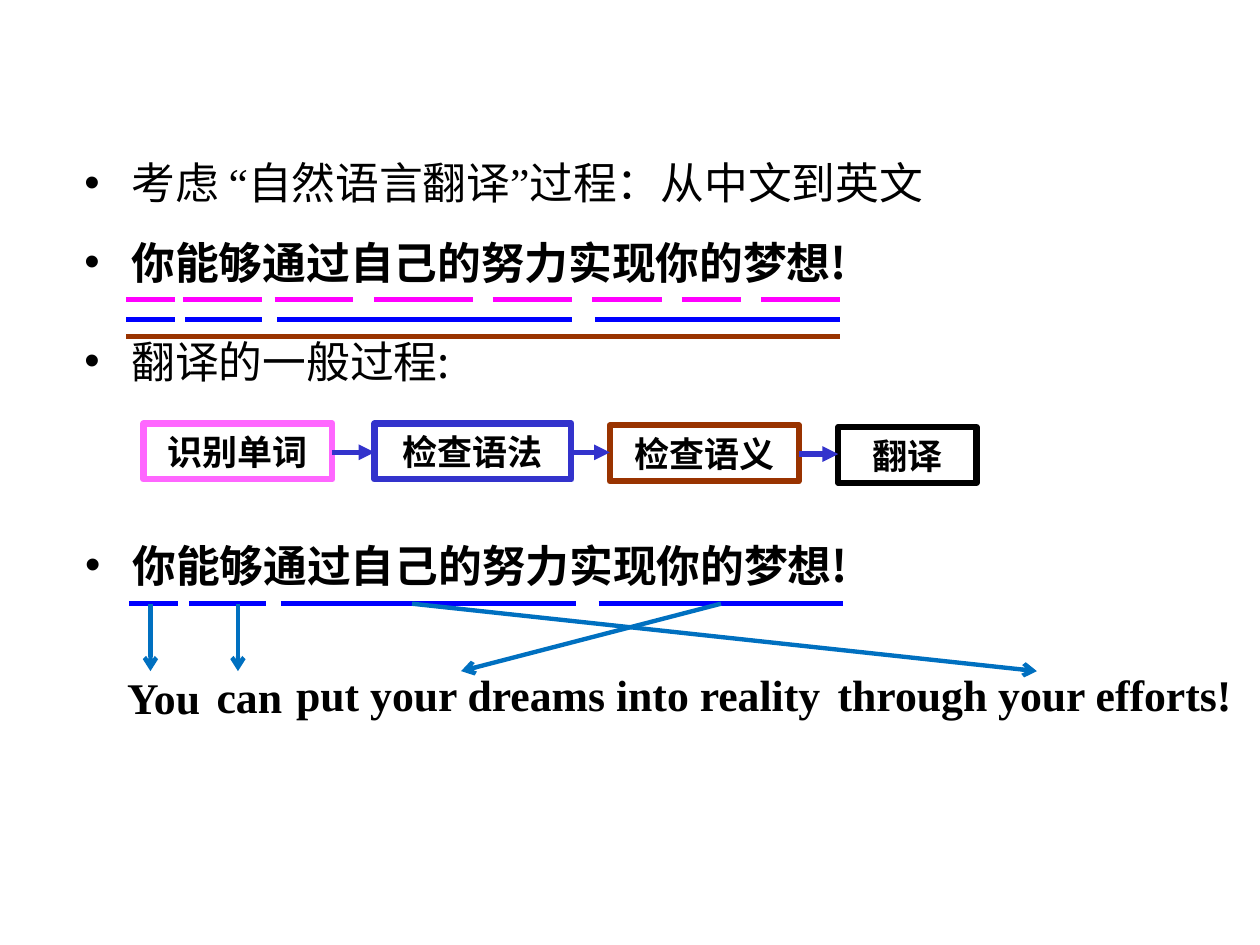
from dataclasses import dataclass

from lxml import etree
from pptx import Presentation
from pptx.dml.color import RGBColor
from pptx.enum import shapes, text
from pptx.oxml import ns
from pptx.util import Pt


@dataclass(frozen=True)
class Theme:
    black: str = "000000"
    word: str = "FF00FF"
    word_box: str = "FF66FF"
    phrase: str = "0000FF"
    syntax: str = "3333CC"
    meaning: str = "993300"
    mapping: str = "0070C0"
    latin: str = "Times New Roman"
    regular: str = "Noto Sans CJK KR"
    bold: str = "Noto Sans CJK SC"
    body_size: float = 25
    step_size: float = 20
    outline: float = 3.5
    stroke: float = 3
    thin_stroke: float = 2.5


THEME = Theme()
SENTENCE = "你能够通过自己的努力实现你的梦想!"
WORDS = [(72, 100), (104.5, 150), (157, 202), (214, 270),
         (281.5, 327), (338.5, 378), (389.5, 423.5), (435, 480)]
PHRASES = [(72, 100), (106, 150), (158.5, 327), (340, 480)]
CLAUSE = [(72, 480)]


def add_child(parent, tag, **attributes):
    return etree.SubElement(parent, ns.qn(tag), attributes)


def add_span(para, words, size, latin, asian, bold=False):
    span = para.add_run()
    span.text = words
    font = span.font
    font.size, font.bold, font.name = Pt(size), bold, latin
    font.color.rgb = RGBColor.from_string(THEME.black)
    add_child(font._element, "a:ea", typeface=asian)


def set_frame(box, anchor, wrap=True):
    frame = box.text_frame
    frame.auto_size = text.MSO_AUTO_SIZE.NONE
    frame.word_wrap = wrap
    frame.vertical_anchor = anchor
    return frame


def fill_list(box, place, items):
    """Place a body placeholder; items are (space before, bold, [(font, words)])."""
    box.left, box.top, box.width, box.height = map(Pt, place)
    frame = set_frame(box, text.MSO_ANCHOR.TOP)
    for index, (gap, bold, spans) in enumerate(items):
        para = frame.add_paragraph() if index else frame.paragraphs[0]
        props = para._p.get_or_add_pPr()
        props.set("marL", str(Pt(27)))
        props.set("indent", str(-Pt(27)))
        color = add_child(props, "a:buClr")
        add_child(color, "a:srgbClr", val=THEME.black)
        add_child(props, "a:buChar", char="•")
        para.space_before = Pt(gap)
        para.alignment = text.PP_ALIGN.LEFT
        for font, words in spans:
            add_span(para, words, THEME.body_size, font, font, bold)


def add_line(page, start, end, color, width, head=None):
    line = page.shapes.add_connector(
        shapes.MSO_CONNECTOR.STRAIGHT, *map(Pt, (*start, *end)))
    line.line.width = Pt(width)
    line.line.color.rgb = RGBColor.from_string(color)
    if head:
        add_child(line.line._get_or_add_ln(), "a:tailEnd", type=head)
    add_child(line._element.spPr, "a:effectLst")


def add_underlines(page, spans, y, color, shift=0):
    for left, right in spans:
        add_line(page, (left + shift, y), (right + shift, y), color, THEME.stroke)


def add_step(page, left, top, width, words, color):
    box = page.shapes.add_shape(
        shapes.MSO_SHAPE.RECTANGLE, *map(Pt, (left, top, width, 32)))
    box.shadow.inherit = False
    box.fill.background()
    box.line.color.rgb = RGBColor.from_string(color)
    box.line.width = Pt(THEME.outline)
    para = set_frame(box, text.MSO_ANCHOR.MIDDLE).paragraphs[0]
    para.alignment = text.PP_ALIGN.CENTER
    add_span(para, words, THEME.step_size, THEME.latin, THEME.bold, True)


def add_translation(page, left, top, width, words):
    box = page.shapes.add_textbox(*map(Pt, (left, top, width, 37.5)))
    para = set_frame(box, text.MSO_ANCHOR.TOP, wrap=False).paragraphs[0]
    para.alignment = text.PP_ALIGN.CENTER
    add_span(para, words, THEME.body_size, THEME.latin, THEME.bold, True)


def add_lists(page):
    holders = {box.placeholder_format.idx: box for box in page.placeholders}
    intro = [(THEME.regular, "考虑 "), (THEME.latin, "“"),
             (THEME.regular, "自然语言翻译"), (THEME.latin, "”"),
             (THEME.regular, "过程：从中文到英文")]
    process = [(THEME.regular, "翻译的一般过程:")]
    sentence = [(0, True, [(THEME.bold, SENTENCE)])]
    fill_list(holders.pop(1), (41, 85.5, 638, 48),
              [(0, False, intro), (72, False, process)])
    fill_list(holders.pop(2), (41, 131, 638, 67.5), sentence)
    fill_list(holders.pop(4), (41.5, 304, 670, 67.5), sentence)
    for unused in holders.values():
        unused._element.getparent().remove(unused._element)


def add_process(page):
    steps = [(82, 242, 108, "识别单词", THEME.word_box),
             (214, 242, 112.5, "检查语法", THEME.syntax),
             (348.5, 243, 108, "检查语义", THEME.meaning),
             (479, 244, 79, "翻译", THEME.black)]
    for step in steps:
        add_step(page, *step)
    for (left, top, width, *_), following in zip(steps, steps[1:]):
        y = top + 16.5
        add_line(page, (left + width, y), (following[0], y),
                 THEME.syntax, THEME.stroke, "triangle")


def add_mapping(page):
    add_underlines(page, PHRASES, 345, THEME.phrase, shift=2)
    for start, end in [(86, 86), (136, 136), (235.5, 592.5), (412, 263.5)]:
        add_line(page, (start, 345), (end, 383.5),
                 THEME.mapping, THEME.thin_stroke, "arrow")
    add_translation(page, 54, 380, 79, "You")
    add_translation(page, 103, 379, 79, "can")
    add_translation(page, 158.5, 378, 321, "put your dreams into reality")
    add_translation(page, 459.5, 378, 263.5, "through your efforts!")


def main():
    deck = Presentation()
    deck.slide_width, deck.slide_height = Pt(720), Pt(540)
    page = deck.slides.add_slide(deck.slide_layouts.get_by_name("Comparison"))
    add_lists(page)
    add_underlines(page, WORDS, 171, THEME.word)
    add_underlines(page, PHRASES, 182.5, THEME.phrase)
    add_underlines(page, CLAUSE, 192.5, THEME.meaning)
    add_process(page)
    add_mapping(page)
    deck.save("out.pptx")


if __name__ == "__main__":
    main()
